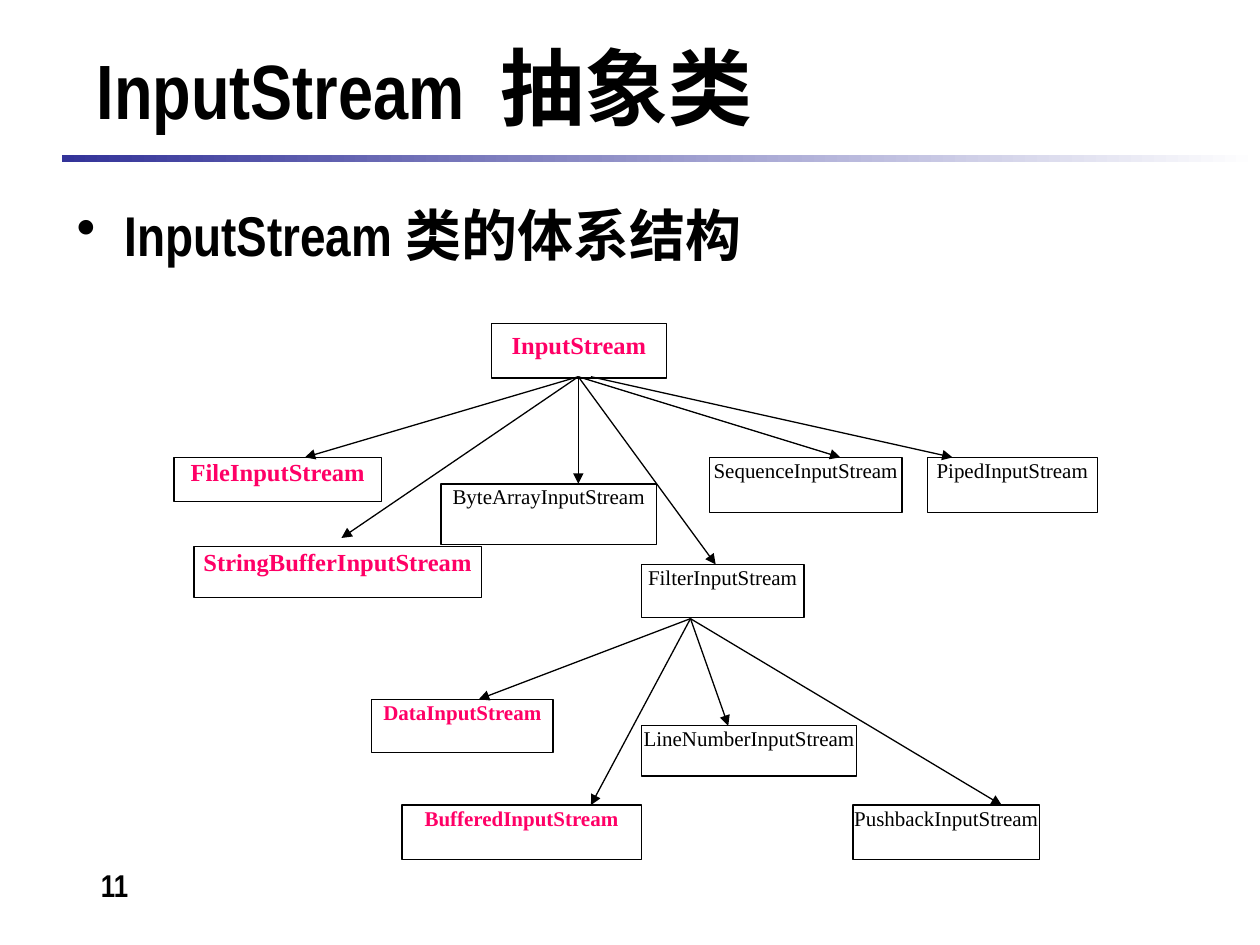
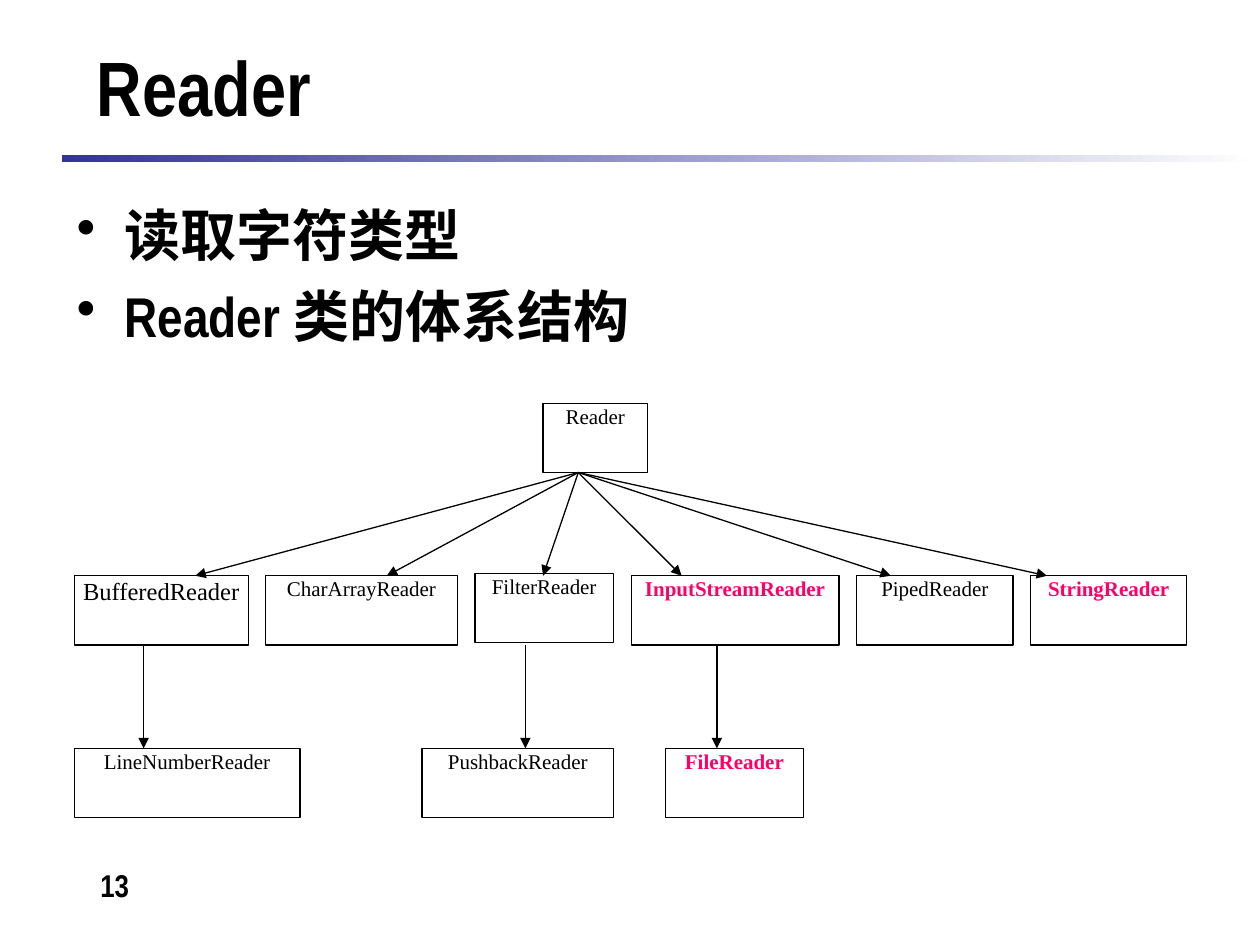
from lxml import etree
from pptx import Presentation
from pptx.dml.color import RGBColor
from pptx.enum.lang import MSO_LANGUAGE_ID as Language
from pptx.enum.shapes import MSO_CONNECTOR as Connector, MSO_SHAPE as Shape
from pptx.enum.text import MSO_ANCHOR as Anchor, PP_ALIGN as Align
from pptx.oxml.ns import qn
from pptx.util import Inches, Pt

BLACK = RGBColor(0x00, 0x00, 0x00)
WHITE = RGBColor(0xFF, 0xFF, 0xFF)
PINK = RGBColor(0xFF, 0x00, 0x66)
INDIGO = RGBColor(0x33, 0x33, 0x99)

HEADING_FONT = {"name": "Arial Narrow", "bold": True}
TITLE = {**HEADING_FONT, "size": Pt(44)}
TITLE_CHINESE = {**HEADING_FONT, "size": Pt(48)}
BULLET = {**HEADING_FONT, "size": Pt(32)}
PAGE_NUMBER = {**HEADING_FONT, "size": Pt(18)}
LABEL = {"name": "Times New Roman", "size": Pt(12)}
LARGE_LABEL = {**LABEL, "size": Pt(14)}
KEY_LABEL = {**LABEL, "bold": True, "color": PINK}
LARGE_KEY_LABEL = {**KEY_LABEL, "size": Pt(14)}

# Boxes: name, left, top, width, height, text style
INPUT_STREAM_BOXES = [
    ("InputStream", 3.9, 2.57, 1.39, 0.43, LARGE_KEY_LABEL),
    ("SequenceInputStream", 5.63, 3.63, 1.53, 0.44, LABEL),
    ("ByteArrayInputStream", 3.5, 3.84, 1.71, 0.48, LABEL),
    ("PipedInputStream", 7.36, 3.63, 1.35, 0.44, LABEL),
    ("FileInputStream", 1.38, 3.63, 1.65, 0.35, LARGE_KEY_LABEL),
    ("StringBufferInputStream", 1.54, 4.34, 2.28, 0.4, LARGE_KEY_LABEL),
    ("FilterInputStream", 5.09, 4.48, 1.29, 0.42, LABEL),
    ("DataInputStream", 2.95, 5.55, 1.44, 0.42, KEY_LABEL),
    ("LineNumberInputStream", 5.09, 5.76, 1.71, 0.4, LABEL),
    ("BufferedInputStream", 3.19, 6.39, 1.9, 0.43, KEY_LABEL),
    ("PushbackInputStream", 6.77, 6.39, 1.48, 0.43, LABEL),
]
READER_HEIGHT = 0.55
READER_BOXES = [
    ("Reader", 4.31, 3.2, 0.83, READER_HEIGHT, LABEL),
    ("LineNumberReader", 0.59, 5.94, 1.79, READER_HEIGHT, LABEL),
    ("PushbackReader", 3.35, 5.94, 1.52, READER_HEIGHT, LABEL),
    ("FileReader", 5.28, 5.94, 1.1, READER_HEIGHT, KEY_LABEL),
]
left = 0.59
for name, top, width, style in [
    ("BufferedReader", 4.57, 1.38, LARGE_LABEL),
    ("CharArrayReader", 4.57, 1.52, LABEL),
    ("FilterReader", 4.55, 1.1, LABEL),
    ("InputStreamReader", 4.57, 1.65, KEY_LABEL),
    ("PipedReader", 4.57, 1.24, LABEL),
    ("StringReader", 4.57, 1.24, KEY_LABEL),
]:
    READER_BOXES.append((name, left, top, width, READER_HEIGHT, style))
    left += width + 0.14

# Arrows: start point, then the end points it fans out to
INPUT_STREAM_ARROWS = [
    ((4.59, 2.99), [(2.42, 3.63), (4.59, 3.84), (6.67, 3.63), (5.68, 4.48), (2.71, 4.27)]),
    ((4.69, 2.99), [(7.56, 3.63)]),
    ((5.48, 4.91), [(3.8, 5.55), (4.69, 6.39), (5.78, 5.76), (7.95, 6.39)]),
]
READER_ARROWS = [
    ((4.59, 3.75), [(x, 4.57) for x in (1.55, 3.07, 4.31, 5.41, 7.07, 8.31)]),
    *[((x, 5.12), [(x, 5.94)]) for x in (1.14, 4.17, 5.69)],
]

SLIDES = [
    {"title": ("InputStream", "抽象类"), "bullets": ["InputStream 类的体系结构"],
     "boxes": INPUT_STREAM_BOXES, "arrows": INPUT_STREAM_ARROWS, "number": "11"},
    {"title": ("Reader",), "bullets": ["读取字符类型", "Reader 类的体系结构"],
     "boxes": READER_BOXES, "arrows": READER_ARROWS, "number": "13"},
]


def add_run(paragraph, text, style):
    run = paragraph.add_run()
    run.text = text
    run.font.language_id = Language.SIMPLIFIED_CHINESE
    run.font.color.rgb = style.get("color", BLACK)
    for attribute in ("name", "size", "bold"):
        setattr(run.font, attribute, style.get(attribute))
    return run


def add_text_box(slide, left, top, width, height):
    box = slide.shapes.add_textbox(Inches(left), Inches(top), Inches(width), Inches(height))
    box.text_frame.word_wrap = True
    return box.text_frame


presentation = Presentation()
presentation.slide_width, presentation.slide_height = Inches(10), Inches(7.5)

for content in SLIDES:
    slide = presentation.slides.add_slide(presentation.slide_layouts[6])

    band = slide.shapes.add_shape(Shape.RECTANGLE, Inches(0.49), Inches(1.23), Inches(9.51), Inches(0.06))
    band.shadow.inherit = False
    band.line.fill.background()
    band.fill.gradient()
    band.fill.gradient_angle = 0
    for stop, color in zip(band.fill.gradient_stops, (INDIGO, WHITE)):
        stop.color.rgb = color

    title_frame = add_text_box(slide, 0.67, 0.21, 8.58, 0.94)
    title_frame.vertical_anchor = Anchor.MIDDLE
    title = title_frame.paragraphs[0]
    add_run(title, content["title"][0], TITLE)
    for chinese in content["title"][1:]:
        gap = add_run(title, " ", TITLE)
        gap.font._element.set("spc", "1000")
        add_run(title, chinese, TITLE_CHINESE)

    body_frame = add_text_box(slide, 0.51, 1.54, 8.9, 5.2)
    for index, text in enumerate(content["bullets"]):
        paragraph = body_frame.add_paragraph() if index else body_frame.paragraphs[0]
        properties = paragraph._p.get_or_add_pPr()
        properties.set("marL", str(Inches(0.38)))
        properties.set("indent", str(-Inches(0.38)))
        etree.SubElement(properties, qn("a:buChar")).set("char", "•")
        if index:
            paragraph.space_before = Pt(8)
        add_run(paragraph, text, BULLET)

    for name, left, top, width, height, style in content["boxes"]:
        box = slide.shapes.add_shape(Shape.RECTANGLE, Inches(left), Inches(top), Inches(width), Inches(height))
        box.shadow.inherit = False
        box.fill.solid()
        box.fill.fore_color.rgb = WHITE
        box.line.color.rgb = BLACK
        box.line.width = Pt(0.75)
        frame = box.text_frame
        frame.vertical_anchor = Anchor.TOP
        for side in ("left", "top", "right", "bottom"):
            setattr(frame, f"margin_{side}", 0)
        if name == "InputStream":
            frame.margin_top = Inches(0.05)
        frame.paragraphs[0].alignment = Align.CENTER
        add_run(frame.paragraphs[0], name, style)

    for start, ends in content["arrows"]:
        for end in ends:
            arrow = slide.shapes.add_connector(Connector.STRAIGHT, *map(Inches, start + end))
            arrow.line.color.rgb = BLACK
            arrow.line.width = Pt(0.75)
            etree.SubElement(arrow.line._get_or_add_ln(), qn("a:tailEnd")).set("type", "triangle")
            etree.SubElement(arrow._element.spPr, qn("a:effectLst"))

    number = add_text_box(slide, 0.2, 6.82, 1.42, 0.52).paragraphs[0]
    number.alignment = Align.CENTER
    add_run(number, content["number"], PAGE_NUMBER)

presentation.save("out.pptx")
